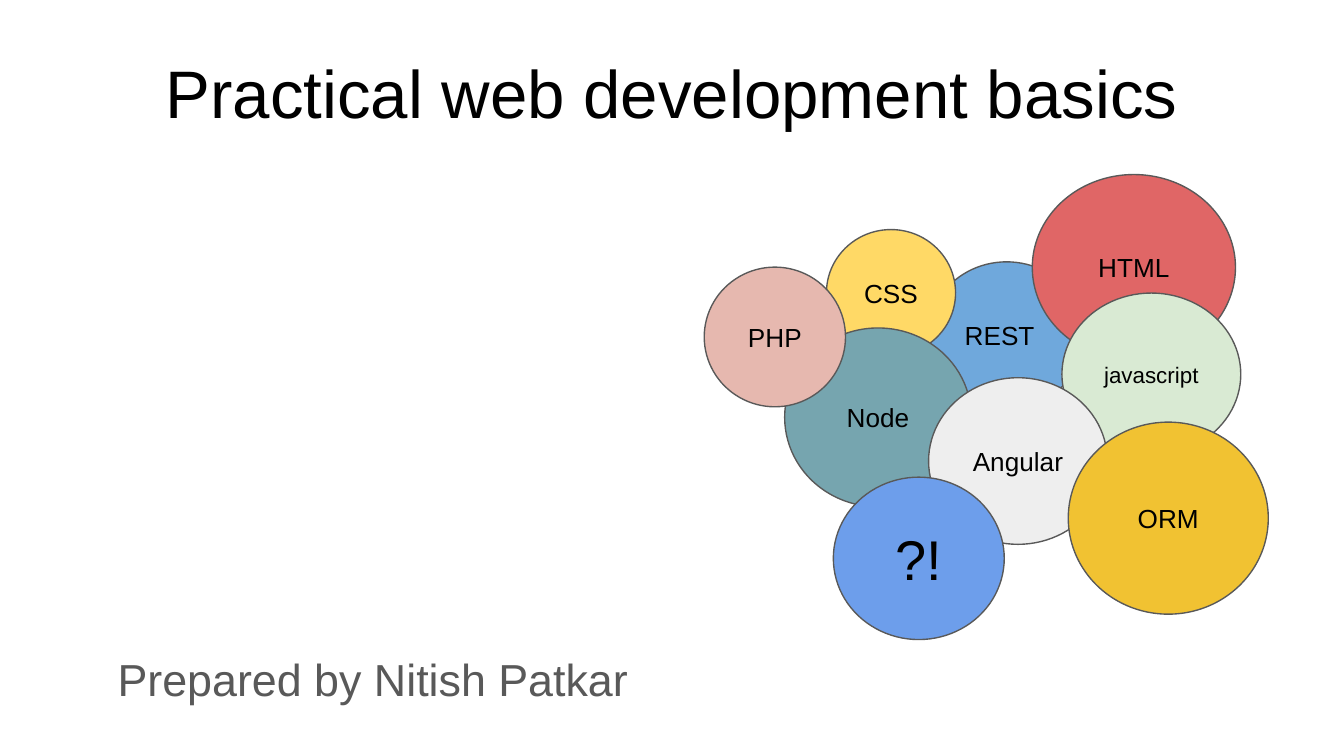
"""Build the title slide of a web development course with a cluster of topic bubbles."""
from pptx import Presentation
from pptx.dml.color import RGBColor
from pptx.enum.shapes import MSO_SHAPE
from pptx.enum.text import MSO_ANCHOR, PP_ALIGN
from pptx.util import Cm, Pt

BLACK = RGBColor(0x00, 0x00, 0x00)
GREY = RGBColor(0x59, 0x59, 0x59)
BLUE = RGBColor(0x6F, 0xA8, 0xDC)
RED = RGBColor(0xE0, 0x66, 0x66)
GREEN = RGBColor(0xD9, 0xEA, 0xD3)
YELLOW = RGBColor(0xFF, 0xD9, 0x66)
TEAL = RGBColor(0x76, 0xA5, 0xAF)
SILVER = RGBColor(0xEE, 0xEE, 0xEE)
GOLD = RGBColor(0xF1, 0xC2, 0x32)
CORNFLOWER = RGBColor(0x6D, 0x9E, 0xEB)
ROSE = RGBColor(0xE6, 0xB8, 0xAF)

HEADLINE = "Practical web development basics"
HEADLINE_BOX = (0.86, 0.86, 23.67, 1.88)
AUTHOR = "Prepared by Nitish Patkar"
AUTHOR_BOX = (0.86, 12.07, 12.37, 1.24)
TOPICS = [
    ("REST", (17.55, 4.95, 2.95, 2.77), BLUE, 14, PP_ALIGN.LEFT),
    ("HTML", (19.51, 3.3, 3.84, 3.51), RED, 14, PP_ALIGN.CENTER),
    ("javascript", (20.07, 5.54, 3.38, 3.07), GREEN, 12, PP_ALIGN.CENTER),
    ("CSS", (15.62, 4.34, 2.44, 2.39), YELLOW, 14, PP_ALIGN.CENTER),
    ("Node", (14.83, 6.2, 3.53, 3.38), TEAL, 14, PP_ALIGN.CENTER),
    ("Angular", (17.55, 7.14, 3.38, 3.15), SILVER, 14, PP_ALIGN.CENTER),
    ("ORM", (20.19, 7.98, 3.78, 3.63), GOLD, 14, PP_ALIGN.CENTER),
    ("?!", (15.75, 9.02, 3.23, 3.07), CORNFLOWER, 30, PP_ALIGN.CENTER),
    ("PHP", (13.31, 5.05, 2.67, 2.64), ROSE, 14, PP_ALIGN.CENTER),
]
FRAME_FORMAT = {
    "word_wrap": True,
    "margin_left": Cm(0.25),
    "margin_right": Cm(0.25),
    "margin_top": Cm(0.25),
    "margin_bottom": Cm(0.25),
}


def apply(target, values):
    """Set each named attribute on the target."""
    for key, value in values.items():
        setattr(target, key, value)


def write(holder, wording, size, color, anchor, align=PP_ALIGN.CENTER):
    """Put one formatted line of text into a shape."""
    frame = holder.text_frame
    frame.text = wording
    apply(frame, FRAME_FORMAT | {"vertical_anchor": anchor})
    line = frame.paragraphs[0]
    line.alignment = align
    font = line.runs[0].font
    apply(font, {"name": "Arial", "size": Pt(size)})
    font.color.rgb = color


def add_bubble(slide, topic, box, fill, size, align):
    """Draw one topic as a labelled ellipse."""
    bubble = slide.shapes.add_shape(MSO_SHAPE.OVAL, *map(Cm, box))
    bubble.shadow.inherit = False
    bubble.fill.solid()
    bubble.fill.fore_color.rgb = fill
    bubble.line.color.rgb = GREY
    bubble.line.width = Pt(0.75)
    write(bubble, topic, size, BLACK, MSO_ANCHOR.MIDDLE, align)


def main():
    """Assemble and save the slide."""
    deck = Presentation()
    apply(deck, {"slide_width": Cm(25.4), "slide_height": Cm(14.29)})
    slide = deck.slides.add_slide(deck.slide_layouts[5])

    headline = slide.shapes.title
    apply(headline, dict(zip(("left", "top", "width", "height"), map(Cm, HEADLINE_BOX))))
    write(headline, HEADLINE, 36, BLACK, MSO_ANCHOR.BOTTOM)

    author = slide.shapes.add_textbox(*map(Cm, AUTHOR_BOX))
    write(author, AUTHOR, 24, GREY, MSO_ANCHOR.TOP)

    for topic in TOPICS:
        add_bubble(slide, *topic)

    deck.save("out.pptx")


if __name__ == "__main__":
    main()
